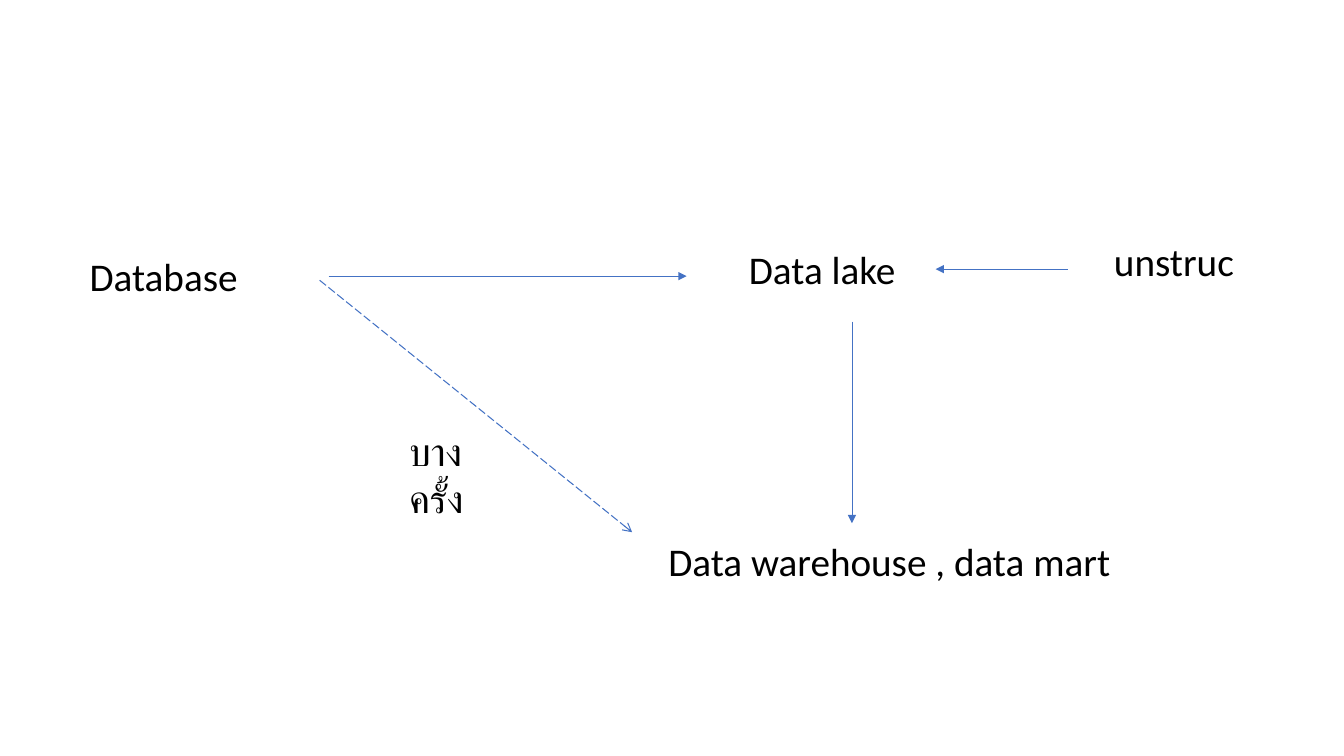
from lxml.etree import SubElement
from pptx import Presentation
from pptx.dml.color import RGBColor
from pptx.enum.dml import MSO_LINE
from pptx.enum.shapes import MSO_CONNECTOR
from pptx.enum.text import MSO_AUTO_SIZE
from pptx.oxml.ns import qn
from pptx.util import Inches, Pt

BLACK = RGBColor(0x00, 0x00, 0x00)
BLUE = RGBColor(0x44, 0x72, 0xC4)


class FlowSlide:
    """Holds the slide and the shared style of its labels and arrows."""

    font_name = "Calibri"
    font_size = Pt(28)
    label_height = Inches(0.57)

    def __init__(self, slide):
        self.slide = slide

    def label(self, text, left, top, width, wrap=True):
        box = self.slide.shapes.add_textbox(
            Inches(left), Inches(top), Inches(width), self.label_height)
        frame = box.text_frame
        frame.text = text
        frame.word_wrap = wrap
        frame.auto_size = MSO_AUTO_SIZE.SHAPE_TO_FIT_TEXT
        for run in frame.paragraphs[0].runs:
            run.font.name = self.font_name
            run.font.size = self.font_size
            run.font.color.rgb = BLACK

    def arrow(self, start, end, weight=0.5, head="triangle", dash=None):
        points = [Inches(length) for length in (*start, *end)]
        connector = self.slide.shapes.add_connector(MSO_CONNECTOR.STRAIGHT, *points)
        connector.line.color.rgb = BLUE
        connector.line.width = Pt(weight)
        if dash is not None:
            connector.line.dash_style = dash
        properties = connector._element.spPr
        SubElement(properties.find(qn("a:ln")), qn("a:tailEnd"), type=head)
        SubElement(properties, qn("a:effectLst"))


def main():
    presentation = Presentation()
    presentation.slide_width = Inches(13.33)
    presentation.slide_height = Inches(7.5)
    blank_layout = presentation.slide_layouts[6]
    flow = FlowSlide(presentation.slides.add_slide(blank_layout))

    # Data stores
    flow.label("Database", 0.79, 2.45, 6.02)
    flow.label("Data lake", 7.33, 2.38, 1.67, wrap=False)
    flow.label("Data warehouse , data mart", 6.53, 5.28, 4.75)

    # Database to lake, database to warehouse, lake to warehouse
    flow.arrow((3.26, 2.74), (6.81, 2.74))
    flow.arrow((3.17, 2.78), (6.27, 5.28), weight=0.75, head="arrow",
               dash=MSO_LINE.LONG_DASH)
    flow.arrow((8.45, 3.19), (8.45, 5.19))

    # Unstructured source feeding the lake
    flow.label("unstruc", 10.95, 2.31, 1.41, wrap=False)
    flow.arrow((10.59, 2.67), (9.28, 2.67))

    # Note on the dashed route
    flow.label("บางครั้ง", 3.96, 4.19, 1.04)

    presentation.save("out.pptx")


if __name__ == "__main__":
    main()
